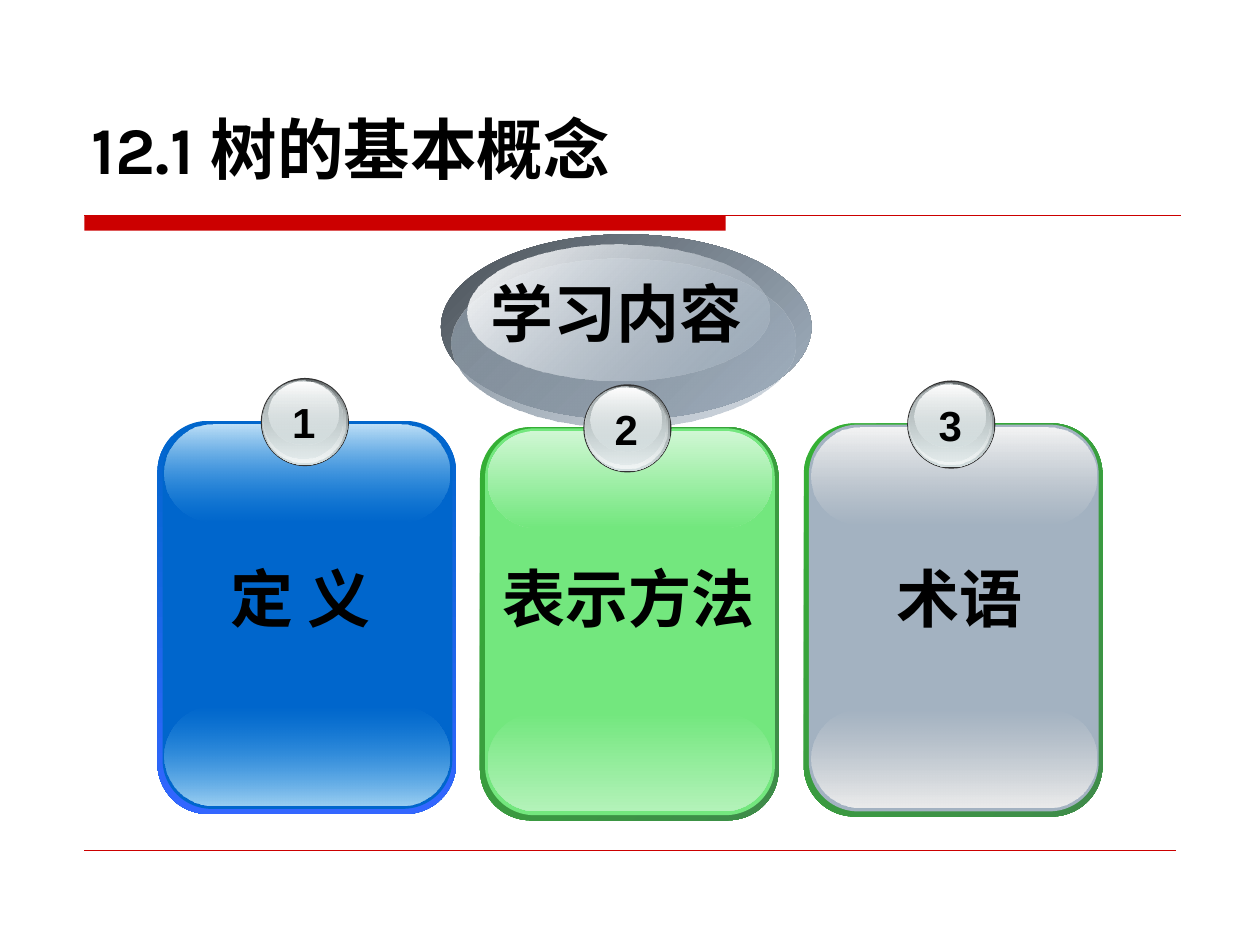
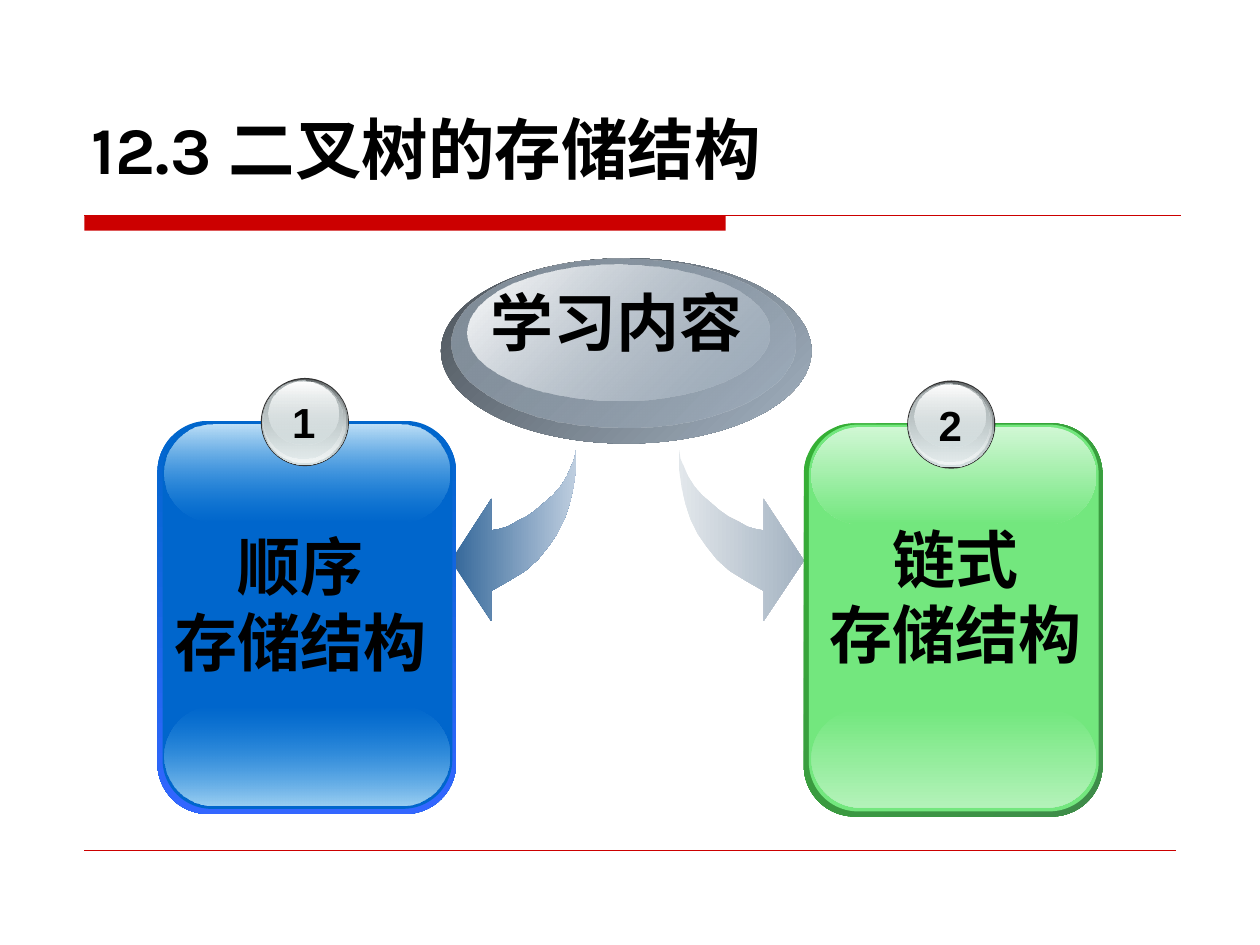
"""Build two lecture overview slides on trees and binary tree storage."""
import pptx
import pptx.util
import pptx.dml.color
import pptx.enum.shapes
import pptx.enum.text
import pptx.oxml.ns
from lxml import etree

Inches = pptx.util.Inches
qn = pptx.oxml.ns.qn
KINDS = pptx.enum.shapes.MSO_SHAPE
STRAIGHT = pptx.enum.shapes.MSO_CONNECTOR.STRAIGHT
FIT = pptx.enum.text.MSO_AUTO_SIZE
CENTER = pptx.enum.text.PP_ALIGN.CENTER
RED, BLACK = "CC0000", "000000"


def paint(shape, colors, angle=90):
    """Fill with 'RRGGBB' or 'RRGGBB opacity' colours, one solid or two blended."""
    shape.shadow.inherit = False
    pairs = [(color + " 100").split()[:2] for color in colors]
    if len(pairs) == 1:
        shape.fill.solid()
        shape.fill.fore_color.rgb = pptx.dml.color.RGBColor.from_string(pairs[0][0])
    else:
        shape.fill.gradient()
        shape.fill.gradient_angle = (360 - angle) % 360
        for stop, (rgb, _) in zip(shape.fill.gradient_stops, pairs):
            stop.color.rgb = pptx.dml.color.RGBColor.from_string(rgb)
    for node, (_, alpha) in zip(list(shape._element.spPr.iter(qn("a:srgbClr"))), pairs):
        if alpha != "100":
            etree.SubElement(node, qn("a:alpha")).set("val", str(int(alpha) * 1000))
    shape.line.fill.background()


def write(slide, box, lines, size, wrap=True):
    """Add centred bold text, one paragraph for each line."""
    frame = slide.shapes.add_textbox(*map(Inches, box)).text_frame
    frame.word_wrap = wrap
    frame.auto_size = FIT.SHAPE_TO_FIT_TEXT
    for i, line in enumerate(lines):
        para = frame.add_paragraph() if i else frame.paragraphs[0]
        para.alignment = CENTER
        run = para.add_run()
        run.text = line
        run.font.size = pptx.util.Pt(size)
        run.font.name = "Arial"
        run.font.bold = True
        run.font.color.rgb = pptx.dml.color.RGBColor.from_string(BLACK)


GREEN_RIM = (["34B034", "3F8B4A"], 45)
THEMES = {
    "blue": ((["0066CC", "3366FF"], 90), "0066CC",
             ["BEE0F7", "3CA1E6 0"], ["3CA1E6 0", "9BCFF2"]),
    "green": (GREEN_RIM, "73E77E", ["D0F7D4", "73E77E"], ["73E77E", "B3F2B9"]),
    "gray": (GREEN_RIM, "A3B2C1", ["F4F4F4", "DDDDDD 0"], ["DDDDDD 0", "ECECEC"]),
}
BADGE = [
    (0, 0, 0.7, 0.7, ["333333"]),
    (0.01, 0.01, 0.68, 0.68, ["636869", "D6E1E2"]),
    (0.01, 0.01, 0.66, 0.66, ["D6E1E2 0", "F1F5F5"]),
    (0.02, 0.02, 0.63, 0.62, ["AAB2B3", "D6E1E2 48"]),
    (0.06, 0.03, 0.56, 0.5, ["FFFFFF", "D6E1E2 38"]),
]
RINGS = [
    (3.5, 2.94, 1.47, ["4B5259", "A3B2C1"]),
    (3.58, 2.73, 1.34, ["818D99", "A3B2C1 48"]),
    (3.71, 2.4, 1.08, ["FFFFFF", "A3B2C1 38"]),
]
ARROW = [
    (4.57, 3.57), (4.57, 3.73), (4.55, 3.87), (4.52, 4), (4.48, 4.12), (4.42, 4.24),
    (4.35, 4.34), (4.27, 4.44), (4.17, 4.53), (4.04, 4.61), (3.9, 4.69), (3.9, 4.93),
    (3.58, 4.45), (3.9, 3.96), (3.9, 4.21), (3.96, 4.2), (4.03, 4.18), (4.1, 4.14),
    (4.18, 4.1), (4.25, 4.05), (4.32, 3.99), (4.39, 3.93), (4.45, 3.86), (4.5, 3.78),
    (4.53, 3.71), (4.56, 3.64),
]
LEFT_ARROW = (0, 1, ["336699", "BECEDF"])
RIGHT_ARROW = (9.96, -1, ["E2E7EB", "A3B2C1"])
SLIDES = [
    ("12.1 ", "树的基本概念", (1.86, 2.05, 1.94), 2.13, [], [
        ("blue", 1.25, 3.34, 1.27, 4.39, ["定 义"]),
        ("green", 3.81, 3.39, 3.87, 4.39, ["表示方法"]),
        ("gray", 6.38, 3.36, 6.5, 4.39, ["术语"]),
    ]),
    ("12.3 ", "二叉树的存储结构", (2.05, 2.05, 2.1), 2.2, [LEFT_ARROW, RIGHT_ARROW], [
        ("blue", 1.25, 3.34, 1.27, 4.14, ["顺序", "存储结构"]),
        ("green", 6.38, 3.36, 6.47, 4.08, ["链式", "存储结构"]),
    ]),
]

deck = pptx.Presentation()
deck.slide_width, deck.slide_height = Inches(10), Inches(7.5)

for number, topic, tops, label, arrows, cards in SLIDES:
    slide = deck.slides.add_slide(deck.slide_layouts[5])
    shapes = slide.shapes

    bar = shapes.add_shape(KINDS.RECTANGLE, *map(Inches, (0.67, 1.71, 5.09, 0.12)))
    paint(bar, [RED])
    for right, y, width in [(9.37, 1.71, 0.75), (9.33, 6.75, 0.25)]:
        rule = shapes.add_connector(STRAIGHT, *map(Inches, (0.67, y, right, y)))
        rule.line.color.rgb = pptx.dml.color.RGBColor.from_string(RED)
        rule.line.width = pptx.util.Pt(width)
        etree.SubElement(rule._element.spPr, qn("a:effectLst"))

    title = shapes.title
    title.left, title.top, title.width, title.height = map(Inches, (0.63, 0.21, 8.75, 1.33))
    title.text_frame.auto_size = FIT.NONE
    title.text_frame.vertical_anchor = pptx.enum.text.MSO_ANCHOR.BOTTOM
    para = title.text_frame.paragraphs[0]
    para.alignment = pptx.enum.text.PP_ALIGN.LEFT
    for text, face in [(number, "Karla"), (topic, "Arial")]:
        run = para.add_run()
        run.text = text
        run.font.name = face
        run.font.size = pptx.util.Pt(38)
        run.font.bold = True
        run.font.color.rgb = pptx.dml.color.RGBColor.from_string(BLACK)

    for top, (left, width, height, colors) in zip(tops, RINGS):
        ring = shapes.add_shape(KINDS.OVAL, *map(Inches, (left, top, width, height)))
        paint(ring, colors, 45)
    write(slide, (3.77, label, 2.25, 0.7), ["学习内容"], 36)

    for shift, sign, colors in arrows:
        points = [(Inches(shift + sign * x), Inches(y)) for x, y in ARROW]
        pen = shapes.build_freeform(*points[0])
        pen.add_line_segments(points[1:])
        paint(pen.convert_to_shape(), colors, 0)

    for count, (theme, left, top, text_x, text_y, lines) in enumerate(cards, 1):
        (rim, angle), face, upper, lower = THEMES[theme]
        layers = [
            (0, 0, 2.37, 3.12, 0.17, rim, angle),
            (0.04, 0.01, 2.3, 3.07, 0.17, [face], 90),
            (0.06, 2.27, 2.26, 0.78, 0.5, lower, 90),
            (0.06, 0.03, 2.26, 0.77, 0.5, upper, 90),
        ]
        for x, y, width, height, curve, colors, turn in layers:
            box = (left + x, top + y, width, height)
            layer = shapes.add_shape(KINDS.ROUNDED_RECTANGLE, *map(Inches, box))
            layer.adjustments[0] = curve
            paint(layer, colors, turn)
        for x, y, width, height, colors in BADGE:
            box = (left + 0.82 + x, top - 0.34 + y, width, height)
            paint(shapes.add_shape(KINDS.OVAL, *map(Inches, box)), colors)
        write(slide, (left + 0.97, top - 0.24, 0.38, 0.5), [str(count)], 24, False)
        write(slide, (text_x, text_y, 2.23, 0.6 * len(lines) + 0.1), lines, 36)

deck.save("out.pptx")
